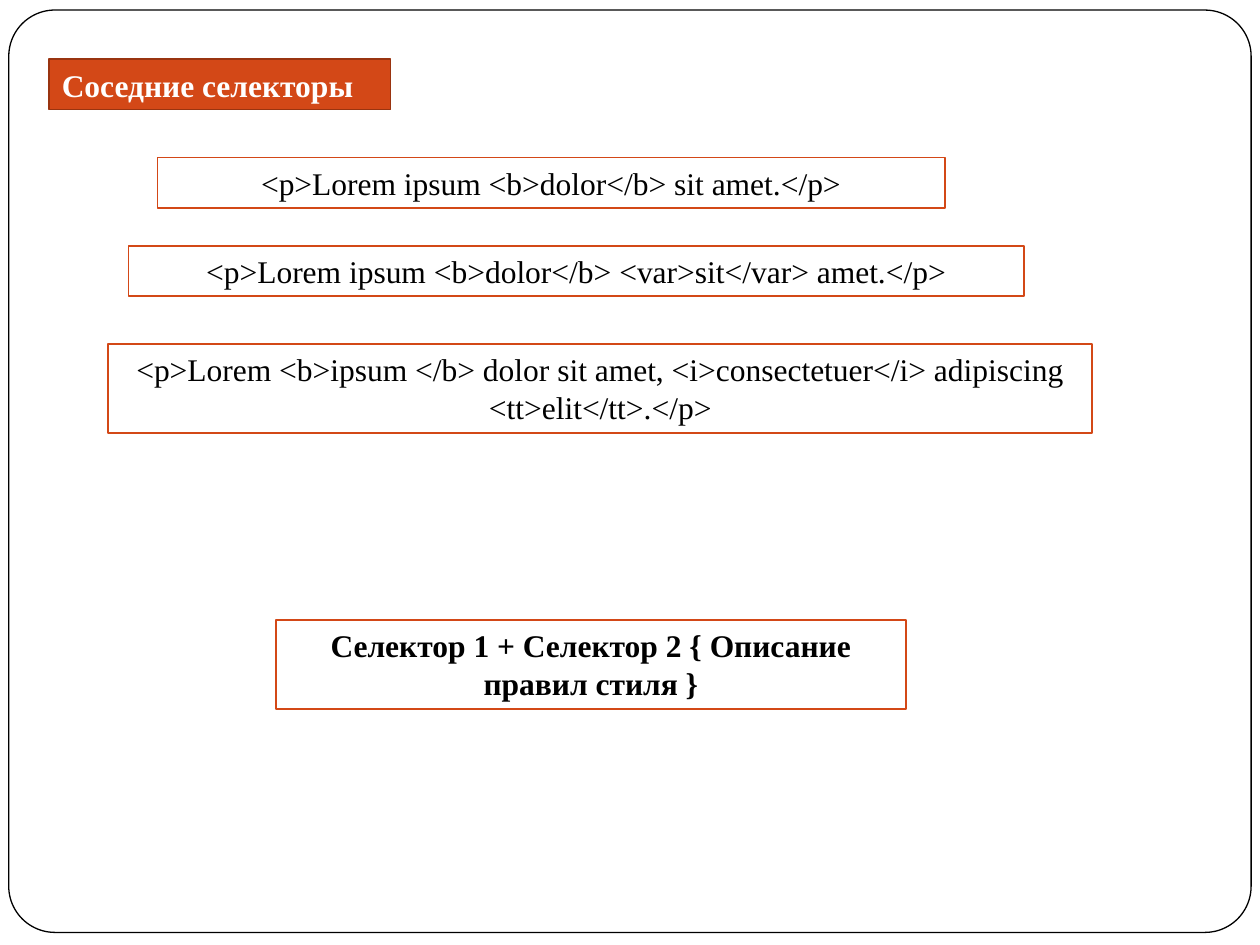
from dataclasses import dataclass

from pptx import Presentation
from pptx.dml.color import RGBColor
from pptx.enum.shapes import MSO_SHAPE
from pptx.enum.text import MSO_ANCHOR, MSO_AUTO_SIZE, PP_ALIGN
from pptx.util import Inches, Pt


@dataclass(frozen=True)
class Theme:
    """Colours, type and line weights of the slide."""
    paper: RGBColor = RGBColor.from_string("FFFFFF")
    ink: RGBColor = RGBColor.from_string("000000")
    accent: RGBColor = RGBColor.from_string("D34817")
    accent_edge: RGBColor = RGBColor.from_string("993410")
    font: str = "Times New Roman"
    size: Pt = Pt(18)
    frame_line: Pt = Pt(0.75)
    box_line: Pt = Pt(1)


class SlideBuilder:
    """Draws the elements of one slide in a shared style."""

    def __init__(self, slide, theme):
        self.slide = slide
        self.theme = theme

    def paint(self, shape, fill, edge, weight):
        """Set the fill and outline of a shape."""
        shape.fill.solid()
        shape.fill.fore_color.rgb = fill
        shape.line.color.rgb = edge
        shape.line.width = weight

    def set_text(self, shape, text, color, align, bold):
        """Put one formatted run into a shape."""
        frame = shape.text_frame
        frame.word_wrap = True
        frame.auto_size = MSO_AUTO_SIZE.NONE
        frame.vertical_anchor = MSO_ANCHOR.TOP
        frame.margin_left = frame.margin_right = Inches(0.1)
        frame.margin_top = frame.margin_bottom = Inches(0.05)
        paragraph = frame.paragraphs[0]
        paragraph.alignment = align
        run = paragraph.add_run()
        run.text = text
        run.font.name = self.theme.font
        run.font.size = self.theme.size
        run.font.bold = bold
        run.font.color.rgb = color

    def add_panel(self, kind, left, top, width, height, edge, weight):
        """Add a white outlined shape without a shadow."""
        panel = self.slide.shapes.add_shape(
            kind, Inches(left), Inches(top), Inches(width), Inches(height))
        panel.shadow.inherit = False
        self.paint(panel, self.theme.paper, edge, weight)
        return panel

    def add_frame(self, left, top, width, height):
        """Add the rounded page frame behind the title."""
        frame = self.add_panel(MSO_SHAPE.ROUNDED_RECTANGLE, left, top, width, height,
                               self.theme.ink, self.theme.frame_line)
        frame.adjustments[0] = 0.05
        self.slide.shapes.title.element.addprevious(frame.element)

    def add_title(self, text, left, top, width, height):
        """Place the title as a filled label."""
        title = self.slide.shapes.title
        title.left, title.top = Inches(left), Inches(top)
        title.width, title.height = Inches(width), Inches(height)
        self.paint(title, self.theme.accent, self.theme.accent_edge, self.theme.box_line)
        self.set_text(title, text, self.theme.paper, PP_ALIGN.LEFT, True)

    def add_code(self, text, left, top, width, height, bold=False):
        """Add a centred code sample in an outlined box."""
        sample = self.add_panel(MSO_SHAPE.RECTANGLE, left, top, width, height,
                                self.theme.accent, self.theme.box_line)
        self.set_text(sample, text, self.theme.ink, PP_ALIGN.CENTER, bold)


def main():
    """Build and save the slide on adjacent selectors."""
    deck = Presentation()
    deck.slide_width, deck.slide_height = Inches(10), Inches(7.5)
    builder = SlideBuilder(deck.slides.add_slide(deck.slide_layouts[5]), Theme())
    one_line, two_lines = 0.4, 0.71

    builder.add_frame(0.07, 0.08, 9.86, 7.32)
    builder.add_title("Соседние селекторы", 0.39, 0.47, 2.71, one_line)
    samples = [
        ("<p>Lorem ipsum <b>dolor</b> sit amet.</p>", 1.25, 1.25, 6.25, one_line),
        ("<p>Lorem ipsum <b>dolor</b> <var>sit</var> amet.</p>", 1.02, 1.95, 7.11, one_line),
        ("<p>Lorem <b>ipsum </b> dolor sit amet, <i>consectetuer</i> adipiscing "
         "<tt>elit</tt>.</p>", 0.86, 2.73, 7.81, two_lines),
    ]
    for sample in samples:
        builder.add_code(*sample)
    builder.add_code("Селектор 1 + Селектор 2 { Описание правил стиля }",
                     2.19, 4.92, 5, two_lines, bold=True)
    deck.save("out.pptx")


if __name__ == "__main__":
    main()
